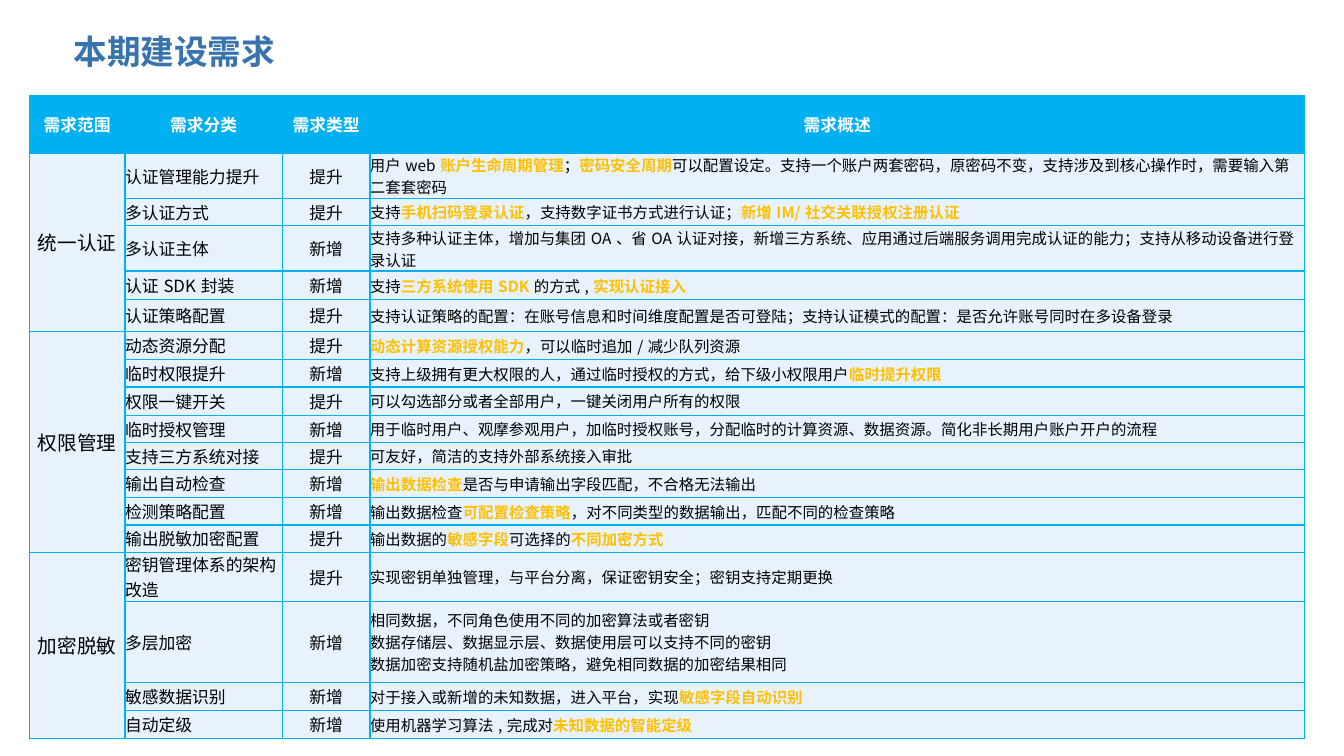
"""Build the slide listing the requirements of this construction phase."""
import pptx
import pptx.dml.color
import pptx.enum.text
import pptx.oxml
import pptx.oxml.ns
import pptx.util
from pptx.util import Inches

FONT = "Noto Sans CJK SC"
BLUE, PALE, GOLD, BLACK, WHITE = "00B0F0", "E7F2FC", "FFC000", "000000", "FFFFFF"
MIDDLE = pptx.enum.text.MSO_ANCHOR.MIDDLE
CENTER, LEFT = pptx.enum.text.PP_ALIGN.CENTER, pptx.enum.text.PP_ALIGN.LEFT

COLUMN_WIDTHS = [0.95, 1.56, 0.87, 9.27]
COLUMN_SIZES = [14, 12, 12, 11]
COLUMN_ALIGNMENTS = [CENTER, LEFT, CENTER, LEFT]
HEADINGS = ["需求范围", "需求分类", "需求类型", "需求概述"]
HEADING_HEIGHT = 0.57

# Each requirement: row height, category, type, summary with *highlights*
GROUPS = {
    "统一认证": [
        (0.45, "认证管理能力提升", "提升", "用户web*账户生命周期管理*；*密码安全周期*可以配置设定。支持一个账户两套密码，原密码不变，支持涉及到核心操作时，需要输入第二套套密码"),
        (0.27, "多认证方式", "提升", "支持*手机扫码登录认证*，支持数字证书方式进行认证；*新增IM/社交关联授权注册认证*"),
        (0.45, "多认证主体", "新增", "支持多种认证主体，增加与集团OA、省OA认证对接，新增三方系统、应用通过后端服务调用完成认证的能力；支持从移动设备进行登录认证"),
        (0.28, "认证SDK封装", "新增", "支持*三方系统使用SDK*的方式,*实现认证接入*"),
        (0.32, "认证策略配置", "提升", "支持认证策略的配置：在账号信息和时间维度配置是否可登陆；支持认证模式的配置：是否允许账号同时在多设备登录"),
    ],
    "权限管理": [
        (0.28, "动态资源分配", "提升", "*动态计算资源授权能力*，可以临时追加/减少队列资源"),
        (0.27, "临时权限提升", "新增", "支持上级拥有更大权限的人，通过临时授权的方式，给下级小权限用户*临时提升权限*"),
        (0.28, "权限一键开关", "提升", "可以勾选部分或者全部用户，一键关闭用户所有的权限"),
        (0.27, "临时授权管理", "新增", "用于临时用户、观摩参观用户，加临时授权账号，分配临时的计算资源、数据资源。简化非长期用户账户开户的流程"),
        (0.27, "支持三方系统对接", "提升", "可友好，简洁的支持外部系统接入审批"),
        (0.28, "输出自动检查", "新增", "*输出数据检查*是否与申请输出字段匹配，不合格无法输出"),
        (0.27, "检测策略配置", "新增", "输出数据检查*可配置检查策略*，对不同类型的数据输出，匹配不同的检查策略"),
        (0.27, "输出脱敏加密配置", "提升", "输出数据的*敏感字段*可选择的*不同加密方式*"),
    ],
    "加密脱敏": [
        (0.49, "密钥管理体系的架构改造", "提升", "实现密钥单独管理，与平台分离，保证密钥安全；密钥支持定期更换"),
        (0.8, "多层加密", "新增", "相同数据，不同角色使用不同的加密算法或者密钥\v数据存储层、数据显示层、数据使用层可以支持不同的密钥\v数据加密支持随机盐加密策略，避免相同数据的加密结果相同"),
        (0.28, "敏感数据识别", "新增", "对于接入或新增的未知数据，进入平台，实现*敏感字段自动识别*"),
        (0.28, "自动定级", "新增", "使用机器学习算法,完成对*未知数据的智能定级*"),
    ],
}


def rgb(value):
    """Return the colour for a hex string."""
    return pptx.dml.color.RGBColor.from_string(value)


def write_text(paragraph, text, size, color, bold=False):
    """Write text with its parts between asterisks highlighted."""
    if "*" in text:
        for index, part in enumerate(text.split("*")):
            if part:
                run = paragraph.add_run()
                run.text = part
                run.font.bold = index % 2 == 1
                run.font.color.rgb = rgb(GOLD if index % 2 else color)
    else:
        paragraph.text = text
    font = paragraph.font
    font.name, font.size = FONT, pptx.util.Pt(size)
    if "*" not in text:
        font.bold = bold
        font.color.rgb = rgb(color)
    defaults = paragraph._p.pPr.find(pptx.oxml.ns.qn("a:defRPr"))
    east_asian = defaults.makeelement(pptx.oxml.ns.qn("a:ea"), {"typeface": FONT})
    defaults.append(east_asian)


def add_borders(cell):
    """Draw a thin blue line on every side of a cell."""
    properties = cell._tc.get_or_add_tcPr()
    for side in "LRTB":
        properties.append(pptx.oxml.parse_xml(
            f'<a:ln{side} {pptx.oxml.ns.nsdecls("a")} w="12700"><a:solidFill>'
            f'<a:srgbClr val="{BLUE}"/></a:solidFill></a:ln{side}>'))


def fill_cell(cell, text, size, alignment, fill=PALE, color=BLACK, bold=False):
    """Format one table cell and write its text."""
    cell.margin_left = cell.margin_right = cell.margin_top = cell.margin_bottom = 0
    cell.vertical_anchor = MIDDLE
    add_borders(cell)
    cell.fill.solid()
    cell.fill.fore_color.rgb = rgb(fill)
    paragraph = cell.text_frame.paragraphs[0]
    paragraph.alignment = alignment
    write_text(paragraph, text, size, color, bold)


def add_title(slide, text):
    """Add the slide title."""
    box = slide.shapes.add_textbox(Inches(0.63), Inches(0.19), Inches(7.92), Inches(0.63))
    box.text_frame.word_wrap = True
    box.text_frame.vertical_anchor = MIDDLE
    write_text(box.text_frame.paragraphs[0], text, 24, "3773AC", True)


def add_requirements(slide):
    """Add the table of requirements, merged by scope."""
    heights = [HEADING_HEIGHT] + [item[0] for items in GROUPS.values() for item in items]
    table = slide.shapes.add_table(
        len(heights), len(HEADINGS), Inches(0.29), Inches(0.95),
        Inches(sum(COLUMN_WIDTHS)), Inches(sum(heights))).table
    table.first_row = table.horz_banding = False
    for column, width in zip(table.columns, COLUMN_WIDTHS):
        column.width = Inches(width)
    for row, height in zip(table.rows, heights):
        row.height = Inches(height)
    for column, heading in enumerate(HEADINGS):
        fill_cell(table.cell(0, column), heading, 12, CENTER, BLUE, WHITE, True)
    first = 1
    for scope, items in GROUPS.items():
        for offset, (_, *texts) in enumerate(items):
            values = ["" if offset else scope] + texts
            for column, value in enumerate(values):
                fill_cell(table.cell(first + offset, column), value,
                          COLUMN_SIZES[column], COLUMN_ALIGNMENTS[column])
        last = first + len(items) - 1
        table.cell(first, 0).merge(table.cell(last, 0))
        first = last + 1


def main():
    """Build and save the presentation."""
    presentation = pptx.Presentation()
    presentation.slide_width, presentation.slide_height = Inches(13.33), Inches(7.5)
    slide = presentation.slides.add_slide(presentation.slide_layouts[6])
    add_title(slide, "本期建设需求")
    add_requirements(slide)
    presentation.save("out.pptx")


if __name__ == "__main__":
    main()
